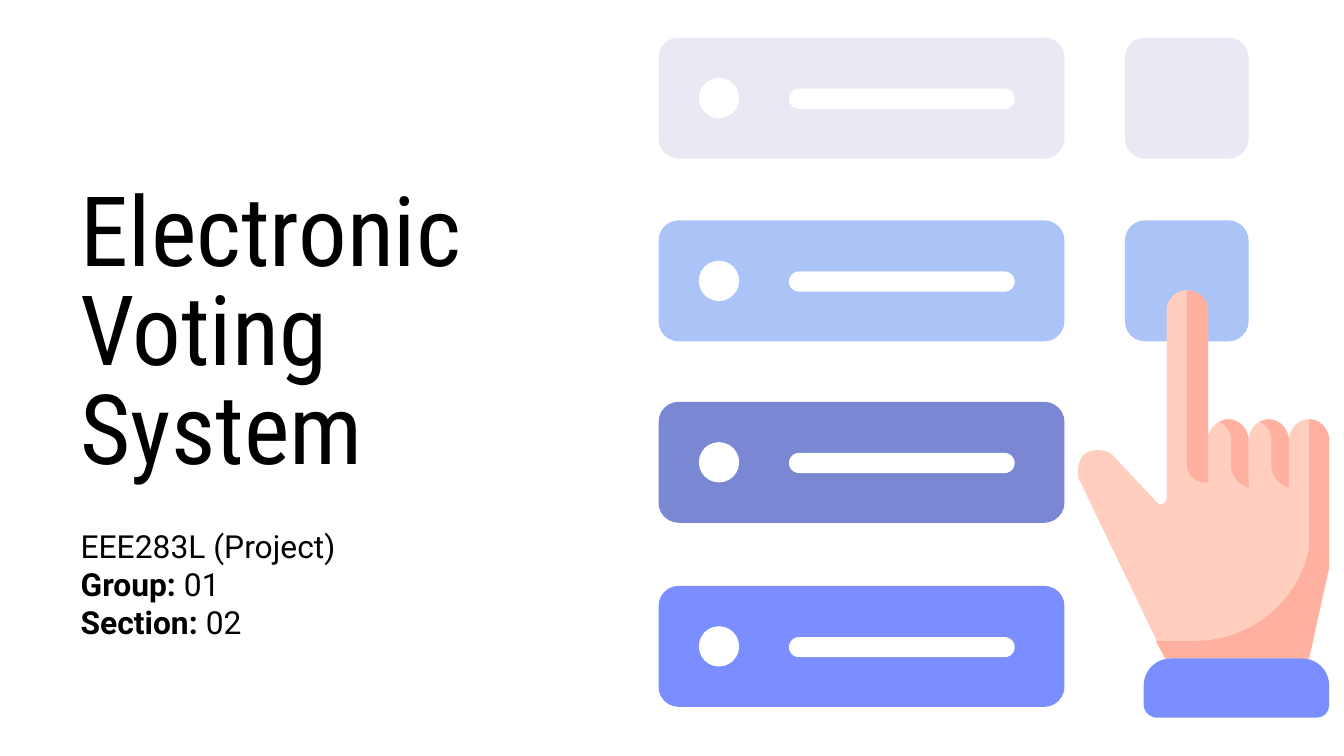
import pptx
import pptx.dml.color
import pptx.enum.shapes
import pptx.enum.text
import pptx.util

Inches = pptx.util.Inches
RGB = pptx.dml.color.RGBColor
KIND = pptx.enum.shapes.MSO_SHAPE

BLACK = RGB(0x00, 0x00, 0x00)
WHITE = RGB(0xFF, 0xFF, 0xFF)
GREY = RGB(0xE9, 0xE9, 0xF3)
SKY = RGB(0xAC, 0xC3, 0xF8)
SLATE = RGB(0x7A, 0x87, 0xD3)
BLUE = RGB(0x7B, 0x8E, 0xFF)
SKIN = RGB(0xFF, 0xCE, 0xBF)
SHADE = RGB(0xFF, 0xB0, 0x9E)

PALM = [(0.83, 0.16), (0.75, 0.16, 0.68, 0.23, 0.68, 0.31), (0.68, 1.71),
        (0.68, 1.73, 0.66, 1.75, 0.64, 1.75), (0.63, 1.75, 0.62, 1.75, 0.61, 1.74),
        (0.28, 1.39), (0.25, 1.36, 0.21, 1.35, 0.17, 1.35),
        (0.13, 1.35, 0.08, 1.36, 0.05, 1.4), (0.02, 1.45, 0.01, 1.52, 0.03, 1.57),
        (0.67, 2.9), (1.74, 2.9), (1.89, 2.22), (1.89, 1.28),
        (1.89, 1.19, 1.82, 1.12, 1.74, 1.12), (1.66, 1.12, 1.59, 1.19, 1.59, 1.28),
        (1.59, 1.55), (0.99, 1.23), (0.99, 0.31), (0.99, 0.23, 0.91, 0.16, 0.83, 0.16)]
EDGE = [(1.74, 1.12), (1.74, 2.09), (1.65, 2.49, 1.3, 2.77, 0.89, 2.77), (0.6, 2.77),
        (0.67, 2.9), (1.74, 2.9), (1.89, 2.22), (1.89, 1.28),
        (1.89, 1.19, 1.82, 1.12, 1.74, 1.12)]
POINT = [(0.83, 0.16), (0.83, 1.46), (0.83, 1.53, 0.89, 1.59, 0.96, 1.59), (0.99, 1.59),
         (0.99, 0.31), (0.99, 0.22, 0.91, 0.16, 0.83, 0.16)]
CUFF = [(0.71, 2.9), (0.6, 2.9, 0.51, 2.99, 0.51, 3.1), (0.51, 3.24),
        (0.51, 3.3, 0.56, 3.34, 0.61, 3.34), (1.79, 3.34),
        (1.85, 3.34, 1.89, 3.3, 1.89, 3.24), (1.89, 3.1),
        (1.89, 2.99, 1.8, 2.9, 1.69, 2.9)]
CURL = [(1.14, 1.12), (1.06, 1.12, 0.99, 1.19, 0.99, 1.28), (0.99, 1.55), (1.29, 1.66),
        (1.29, 1.28), (1.29, 1.19, 1.22, 1.12, 1.14, 1.12)]
FOLD = [(1.14, 1.12), (1.11, 1.12, 1.09, 1.13, 1.07, 1.14),
        (1.13, 1.16, 1.16, 1.22, 1.16, 1.27), (1.16, 1.47),
        (1.16, 1.54, 1.22, 1.61, 1.29, 1.63), (1.29, 1.28),
        (1.29, 1.19, 1.22, 1.12, 1.14, 1.12)]


def paint(shape, tint):
    """Give a shape a flat fill with no line or shadow."""
    shape.shadow.inherit = False
    shape.fill.solid()
    shape.fill.fore_color.rgb = tint
    shape.line.fill.background()


def trace(path, steps=12):
    """Turn lines and cubic curves into a list of points."""
    dots = [path[0]]
    for part in path[1:]:
        if len(part) == 2:
            dots.append(part)
            continue
        start = dots[-1]
        a, b, end = part[:2], part[2:4], part[4:]
        for i in range(1, steps + 1):
            t = i / steps
            u = 1 - t
            dots.append(tuple(u**3 * start[k] + 3 * u * u * t * a[k]
                              + 3 * u * t * t * b[k] + t**3 * end[k] for k in (0, 1)))
    return [(Inches(x), Inches(y)) for x, y in dots]


def draw(slide, path, left, top, tint):
    """Draw a closed outline from a given corner."""
    dots = trace(path)
    pen = slide.shapes.build_freeform(*dots[0], scale=1.0)
    pen.add_line_segments(dots[1:], close=True)
    paint(pen.convert_to_shape(Inches(left), Inches(top)), tint)


def block(slide, left, top, width, height, tint, round_by=0.15):
    """Add a rectangle with rounded corners."""
    shape = slide.shapes.add_shape(KIND.ROUNDED_RECTANGLE, Inches(left), Inches(top),
                                   Inches(width), Inches(height))
    shape.adjustments[0] = round_by / min(width, height)
    paint(shape, tint)


def write(para, text, size=17, face="Roboto", bold=False, tint=BLACK):
    """Add a run of text in the given format."""
    run = para.add_run()
    run.text = text
    run.font.size = pptx.util.Pt(size)
    run.font.name = face
    run.font.bold = bold
    run.font.color.rgb = tint


def frame(holder, box, anchor):
    """Place a placeholder and return its text frame."""
    holder.left, holder.top, holder.width, holder.height = map(Inches, box)
    text = holder.text_frame
    text.word_wrap = True
    text.auto_size = pptx.enum.text.MSO_AUTO_SIZE.NONE
    text.vertical_anchor = anchor
    text.margin_left = text.margin_right = Inches(0.1)
    text.margin_top = text.margin_bottom = Inches(0.1)
    return text


def align(para, gap):
    """Set a paragraph flush left with the given line spacing."""
    para.alignment = pptx.enum.text.PP_ALIGN.LEFT
    para.line_spacing = gap
    para.space_before = pptx.util.Pt(0)


def title(slide, box):
    """Fill the title placeholder."""
    para = frame(slide.shapes.title, box, pptx.enum.text.MSO_ANCHOR.MIDDLE).paragraphs[0]
    align(para, 0.85)
    write(para, "Electronic Voting System", size=52, face="Roboto Condensed")


def details(slide, box):
    """Fill the subtitle placeholder with the course details."""
    text = frame(slide.placeholders[1], box, pptx.enum.text.MSO_ANCHOR.TOP)
    lines = [("", "EEE283L (Project)"), ("Group:", " 01"), ("Section:", " 02")]
    for i, (label, value) in enumerate(lines):
        para = text.add_paragraph() if i else text.paragraphs[0]
        align(para, 1.0)
        if label:
            write(para, label, bold=True)
        write(para, value)


def ballot(slide, left, top):
    """Draw the ballot rows and the buttons beside the first two."""
    rows = [(0, GREY, True), (1.36, SKY, True), (2.71, SLATE, False), (4.08, BLUE, False)]
    for drop, tint, button in rows:
        y = top + drop
        if button:
            block(slide, left + 3.47, y, 0.92, 0.9, tint)
        block(slide, left, y, 3.02, 0.9, tint)
        block(slide, left + 0.97, y + 0.38, 1.68, 0.15, WHITE, 0.075)
        dot = slide.shapes.add_shape(KIND.OVAL, Inches(left + 0.3), Inches(y + 0.3),
                                     Inches(0.3), Inches(0.3))
        paint(dot, WHITE)


def hand(slide, left, top):
    """Draw the pointing hand with its cuff and two curled fingers."""
    for path, tint in ((PALM, SKIN), (EDGE, SHADE), (POINT, SHADE), (CUFF, BLUE)):
        draw(slide, path, left, top, tint)
    for shift in (0, 0.3):
        draw(slide, CURL, left + shift, top, SKIN)
        draw(slide, FOLD, left + shift, top, SHADE)


def main():
    """Build and save the slide."""
    deck = pptx.Presentation()
    deck.slide_width = Inches(10)
    deck.slide_height = deck.slide_width * 9 // 16
    slide = deck.slides.add_slide(deck.slide_layouts[0])
    title(slide, (0.5, 1.2, 4.11, 2.6))
    details(slide, (0.5, 3.82, 2.32, 1.04))
    ballot(slide, 4.9, 0.28)
    hand(slide, 8, 2)
    deck.save("out.pptx")


if __name__ == "__main__":
    main()
